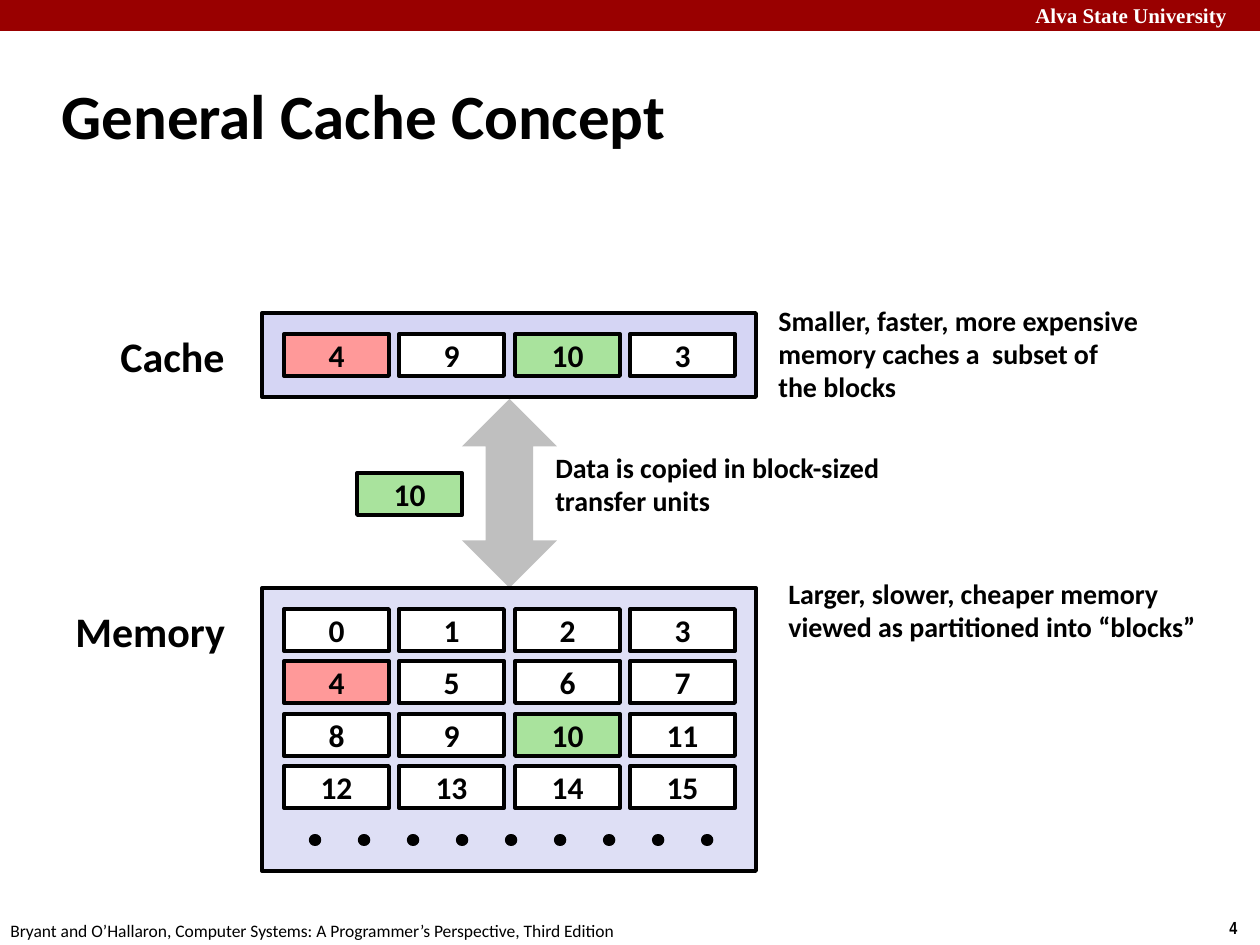
from lxml import etree
from pptx import Presentation
from pptx import util as u
from pptx.dml.color import RGBColor
from pptx.enum import shapes, text
from pptx.oxml.ns import qn

PX = 914400 / 126
BLACK = RGBColor(0, 0, 0)
WHITE = RGBColor(255, 255, 255)
HEADER_RED = RGBColor(0x99, 0, 0)
ARROW_GRAY = RGBColor(0xBF, 0xBF, 0xBF)
CACHE_BLUE = RGBColor(0xD5, 0xD5, 0xF4)
MEMORY_BLUE = RGBColor(0xDE, 0xDF, 0xF5)
PINK = RGBColor(0xFF, 0x99, 0x99)
GREEN = RGBColor(0xA9, 0xE3, 0x9D)
BLOCK_FILLS = {4: PINK, 10: GREEN}
BLOCK_LEFT, BLOCK_WIDTH, BLOCK_HEIGHT = 284, 105, 42

LABELS = [
    ("Alva State University", (1023, -4, 246, 63),
     {"size": u.Pt(12), "name": "Times New Roman"}, {"color": WHITE}),
    ("4", (1217, 911, 43, 34), {"size": u.Pt(10), "name": "Arial Narrow"}, {}),
    ("Bryant and O’Hallaron, Computer Systems: A Programmer’s Perspective, Third Edition",
     (-2, 914, 640, 34), {"size": u.Pt(10), "bold": False}, {}),
    ("Cache", (108, 324, 131, 63), {"size": u.Pt(24)}, {}),
    ("Memory", (63, 599, 176, 63), {"size": u.Pt(24)}, {}),
]
NOTES = [
    ("Larger, slower, cheaper memory\nviewed as partitioned into “blocks”", (776, 572, 441, 79)),
    ("Data is copied in block-sized transfer units", (543, 446, 391, 79)),
    ("Smaller, faster, more expensive\nmemory caches a  subset of\nthe blocks",
     (766, 299, 404, 112)),
]


def emu(*lengths):
    """Turn px lengths into EMU."""
    return [round(length * PX) for length in lengths]


def write(frame, wording, font, color=BLACK, paragraph=None, **frame_format):
    """Fill a text frame and format its paragraphs."""
    frame.text = wording
    for name, value in {"word_wrap": True, **frame_format}.items():
        setattr(frame, name, value)
    for line in frame.paragraphs:
        for name, value in (paragraph or {}).items():
            setattr(line, name, value)
        for name, value in {"name": "Calibri", "bold": True, **font}.items():
            setattr(line.runs[0].font, name, value)
        line.runs[0].font.color.rgb = color


def add_label(slide, wording, box, font, **options):
    """Add a text box that grows with its wording."""
    label = slide.shapes.add_textbox(*emu(*box))
    write(label.text_frame, wording, font,
          auto_size=text.MSO_AUTO_SIZE.SHAPE_TO_FIT_TEXT, **options)


def add_panel(slide, box, fill, outlined=True, preset=shapes.MSO_SHAPE.RECTANGLE):
    """Add a filled shape, with a black outline if wanted."""
    panel = slide.shapes.add_shape(preset, *emu(*box))
    panel.shadow.inherit = False
    panel.fill.solid()
    panel.fill.fore_color.rgb = fill
    if outlined:
        panel.line.color.rgb = BLACK
        panel.line.width = u.Pt(2.25)
    else:
        panel.line.fill.background()
    return panel


def add_block(slide, number, left, top):
    """Add one numbered memory block."""
    block = add_panel(slide, (left, top, BLOCK_WIDTH, BLOCK_HEIGHT),
                      BLOCK_FILLS.get(number, WHITE))
    write(block.text_frame, str(number), {"size": u.Pt(18)},
          paragraph={"alignment": text.PP_ALIGN.CENTER},
          vertical_anchor=text.MSO_ANCHOR.MIDDLE)


def add_blocks(slide, numbers, top):
    """Lay numbered blocks out in rows of four."""
    for index, number in enumerate(numbers):
        row, column = divmod(index, 4)
        add_block(slide, number, BLOCK_LEFT + 231 * column // 2, top + 105 * row // 2)


def add_dots(slide, left, right, y):
    """Add a line of round dots."""
    dots = slide.shapes.add_connector(shapes.MSO_CONNECTOR.STRAIGHT, *emu(left, y, right, y))
    dots.line.color.rgb = BLACK
    dots.line.width = u.Pt(7)
    outline = dots.line._get_or_add_ln()
    outline.set("cap", "rnd")
    etree.SubElement(outline, qn("a:prstDash")).set("val", "dot")
    etree.SubElement(outline, qn("a:round"))
    etree.SubElement(dots._element.spPr, qn("a:effectLst"))


def set_title(slide, wording):
    """Place and format the title."""
    title = slide.shapes.title
    title.left, title.top, title.width, title.height = emu(49, 62, 1046, 105)
    write(title.text_frame, wording, {"size": u.Pt(36)},
          paragraph={"alignment": text.PP_ALIGN.LEFT},
          vertical_anchor=text.MSO_ANCHOR.MIDDLE, auto_size=text.MSO_AUTO_SIZE.NONE)
    hanging, = emu(16)
    properties = title.text_frame.paragraphs[0]._p.get_or_add_pPr()
    properties.set("marL", str(hanging))
    properties.set("indent", str(-hanging))


def main():
    """Build the cache concept slide."""
    deck = Presentation()
    deck.slide_width, deck.slide_height = emu(1260, 945)
    slide = deck.slides.add_slide(deck.slide_layouts[5])
    set_title(slide, "General Cache Concept")
    add_panel(slide, (0, 0, 1260, 31), HEADER_RED, outlined=False)
    add_panel(slide, (462, 399, 95, 189), ARROW_GRAY, outlined=False,
              preset=shapes.MSO_SHAPE.UP_DOWN_ARROW)
    add_panel(slide, (262, 588, 494, 283), MEMORY_BLUE)
    add_panel(slide, (262, 313, 494, 84), CACHE_BLUE)
    add_blocks(slide, range(16), 609)
    add_blocks(slide, (4, 9, 10, 3), 334)
    add_block(slide, 10, 357, 473)
    add_dots(slide, 315, 735, 840)
    for wording, box, font, options in LABELS:
        add_label(slide, wording, box, font, **options)
    for wording, box in NOTES:
        add_label(slide, wording, box, {"size": u.Pt(16)}, paragraph={"line_spacing": 0.98},
                  vertical_anchor=text.MSO_ANCHOR.MIDDLE)
    deck.save("out.pptx")


if __name__ == "__main__":
    main()
